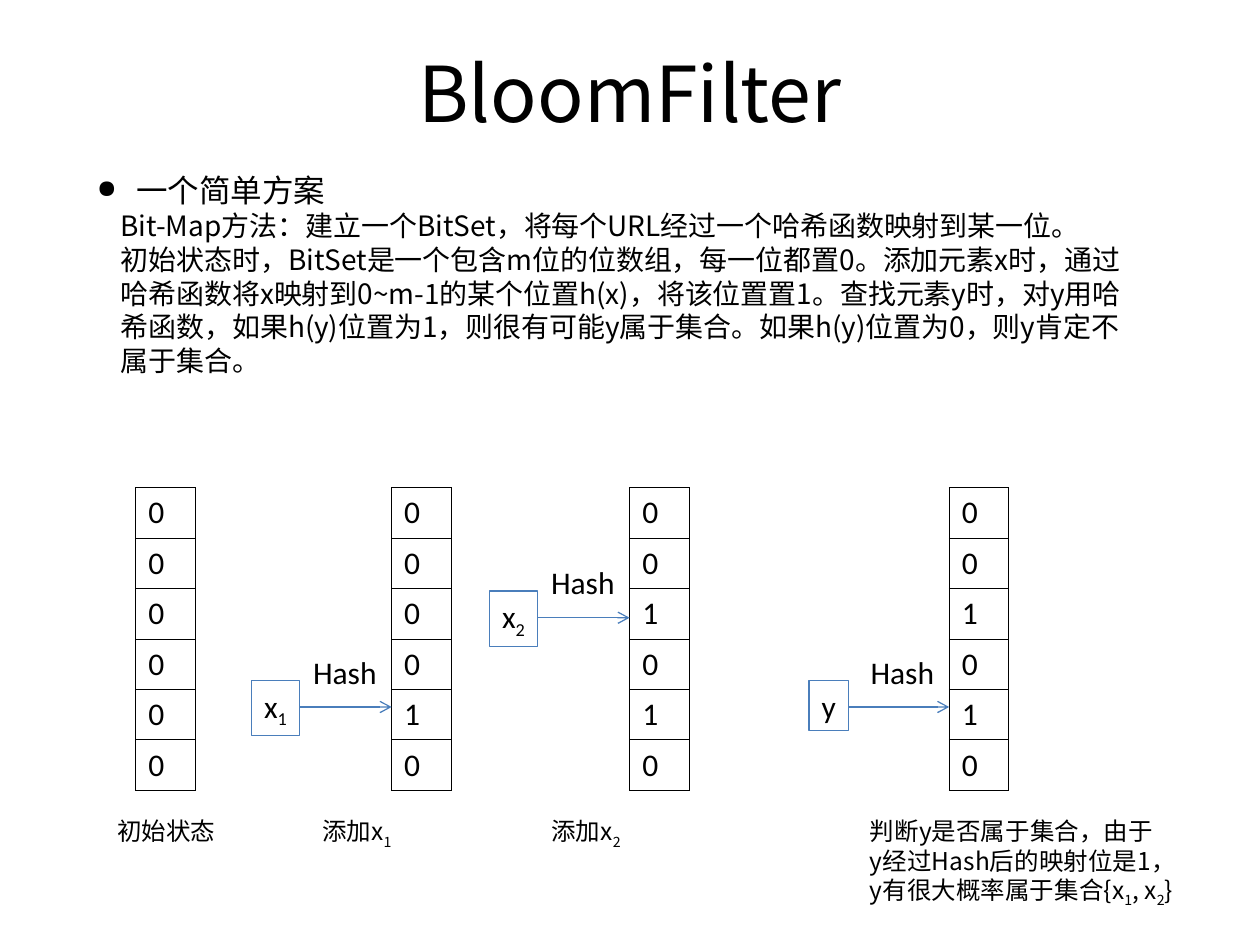
import pptx
import pptx.dml.color
import pptx.enum.shapes
import pptx.enum.text
import pptx.oxml
import pptx.oxml.ns
import pptx.util
from lxml import etree

Pt = pptx.util.Pt
qn = pptx.oxml.ns.qn
HUES = {"text": "000000", "grid": "000000", "line": "4A7EBB"}
LATIN, HAN = "Calibri", "Noto Sans CJK SC"
TOP, ROW, CELL = 278.6, 28.8, 34  # bit arrays
FOOT = 463  # top of the captions


def hue(name):
    return pptx.dml.color.RGBColor.from_string(HUES[name])


def write(par, text, size, face):
    """Add runs; the pieces between bars are alternately normal and subscript."""
    for i, piece in enumerate(text.split("|")):
        if not piece:
            continue
        run = par.add_run()
        run.text = piece
        run.font.size = Pt(size)
        run.font.name = face
        run.font.color.rgb = hue("text")
        props = run._r.get_or_add_rPr()
        etree.SubElement(props, qn("a:ea")).set("typeface", HAN)
        if i % 2:
            props.set("baseline", "-25000")


def fit(frame, wrap):
    frame.word_wrap = wrap
    frame.auto_size = pptx.enum.text.MSO_AUTO_SIZE.SHAPE_TO_FIT_TEXT


def label(slide, x, y, w, h, lines, size, face):
    frame = slide.shapes.add_textbox(Pt(x), Pt(y), Pt(w), Pt(h)).text_frame
    fit(frame, False)
    for i, line in enumerate(lines):
        par = frame.add_paragraph() if i else frame.paragraphs[0]
        write(par, line, size, face)


def title(slide, text):
    shape = slide.shapes.title
    shape.left, shape.top, shape.width, shape.height = Pt(36), Pt(21.6), Pt(648), Pt(61.2)
    frame = shape.text_frame
    frame.vertical_anchor = pptx.enum.text.MSO_ANCHOR.MIDDLE
    par = frame.paragraphs[0]
    par.alignment = pptx.enum.text.PP_ALIGN.CENTER
    write(par, text, 44, HAN)


def indent(par, margin, first):
    props = par._p.get_or_add_pPr()
    props.set("marL", str(Pt(margin)))
    props.set("indent", str(Pt(first)))
    props.set("hangingPunct", "0")
    return props


def body(slide, head, lines):
    frame = slide.shapes.add_textbox(Pt(48.3), Pt(94.3), Pt(612.7), Pt(125.3)).text_frame
    fit(frame, True)
    par = frame.paragraphs[0]
    props = indent(par, 22.5, -22.5)
    etree.SubElement(props, qn("a:buSzPct")).set("val", "80000")
    etree.SubElement(props, qn("a:buChar")).set("char", "●")
    write(par, head, 18, HAN)
    for line in lines:
        par = frame.add_paragraph()
        par.level = 1
        indent(par, 13.5, 0)
        write(par, line, 16, HAN)


def border(cell):
    props = cell._tc.get_or_add_tcPr()
    for i, side in enumerate(("lnL", "lnR", "lnT", "lnB")):
        line = etree.Element(qn("a:" + side), w=str(Pt(0.45)))
        fill = etree.SubElement(line, qn("a:solidFill"))
        etree.SubElement(fill, qn("a:srgbClr")).set("val", HUES["grid"])
        props.insert(i, line)


def array(slide, x, bits):
    count = len(bits)
    grid = slide.shapes.add_table(count, 1, Pt(x), Pt(TOP), Pt(CELL), Pt(ROW * count)).table
    grid.first_row = grid.horz_banding = False
    for i, bit in enumerate(bits):
        grid.rows[i].height = Pt(ROW)
        cell = grid.cell(i, 0)
        cell.fill.background()
        border(cell)
        write(cell.text_frame.paragraphs[0], bit, 18, LATIN)


def box(slide, x, y, w, h, text):
    kind = pptx.enum.shapes.MSO_SHAPE.RECTANGLE
    shape = slide.shapes.add_shape(kind, Pt(x), Pt(y), Pt(w), Pt(h))
    shape.shadow.inherit = False
    shape.fill.background()
    shape.line.color.rgb = hue("line")
    shape.line.width = Pt(0.75)
    frame = shape.text_frame
    fit(frame, False)
    frame.vertical_anchor = pptx.enum.text.MSO_ANCHOR.TOP
    par = frame.paragraphs[0]
    par.alignment = pptx.enum.text.PP_ALIGN.LEFT
    write(par, text, 18, LATIN)


def arrow(slide, start, end, y):
    kind = pptx.enum.shapes.MSO_CONNECTOR.STRAIGHT
    link = slide.shapes.add_connector(kind, Pt(start), Pt(y), Pt(end), Pt(y))
    link.line.color.rgb = hue("line")
    link.line.width = Pt(0.75)
    etree.SubElement(link.line._get_or_add_ln(), qn("a:tailEnd")).set("type", "arrow")
    etree.SubElement(link._element.spPr, qn("a:effectLst"))


def lookup(slide, x, y, key, w, h):
    """Draw a key hashed into the array at x."""
    left = x - 80
    box(slide, left, y - 15.2, w, h, key)
    arrow(slide, left + w, x, y)
    label(slide, x - 52, y - 34.6, 53, 28.8, ["Hash"], 18, LATIN)


def main():
    deck = pptx.Presentation()
    deck.slide_width, deck.slide_height = Pt(720), Pt(540)
    slide = deck.slides.add_slide(deck.slide_layouts[5])

    # Heading and explanation
    title(slide, "BloomFilter")
    body(slide, "一个简单方案", [
        "Bit-Map方法：建立一个BitSet，将每个URL经过一个哈希函数映射到某一位。",
        "初始状态时，BitSet是一个包含m位的位数组，每一位都置0。添加元素x时，"
        "通过哈希函数将x映射到0~m-1的某个位置h(x)，将该位置置1。查找元素y时，"
        "对y用哈希函数，如果h(y)位置为1，则很有可能y属于集合。"
        "如果h(y)位置为0，则y肯定不属于集合。",
    ])

    # Bit arrays, one per stage
    for x, bits in ((77.6, "000000"), (223.8, "000010"), (359.8, "001010"), (542.4, "001010")):
        array(slide, x, bits)

    # Hashed keys
    lookup(slide, 223.8, 404, "x|1", 27.5, 31.7)
    lookup(slide, 359.8, 353, "x|2", 27.5, 31.7)
    lookup(slide, 542.4, 404, "y", 22.5, 28.8)

    # Captions
    for x, w, h, lines in (
        (59.8, 70.6, 24.5, ["初始状态"]),
        (177, 57.6, 26.6, ["添加x|1"]),
        (308, 57.6, 26.6, ["添加x|2"]),
        (490, 206, 60.5, ["判断y是否属于集合，由于", "y经过Hash后的映射位是1，",
                          "y有很大概率属于集合{x|1|, x|2|}"]),
    ):
        label(slide, x, FOOT, w, h, lines, 14, HAN)

    deck.save("out.pptx")


if __name__ == "__main__":
    main()
